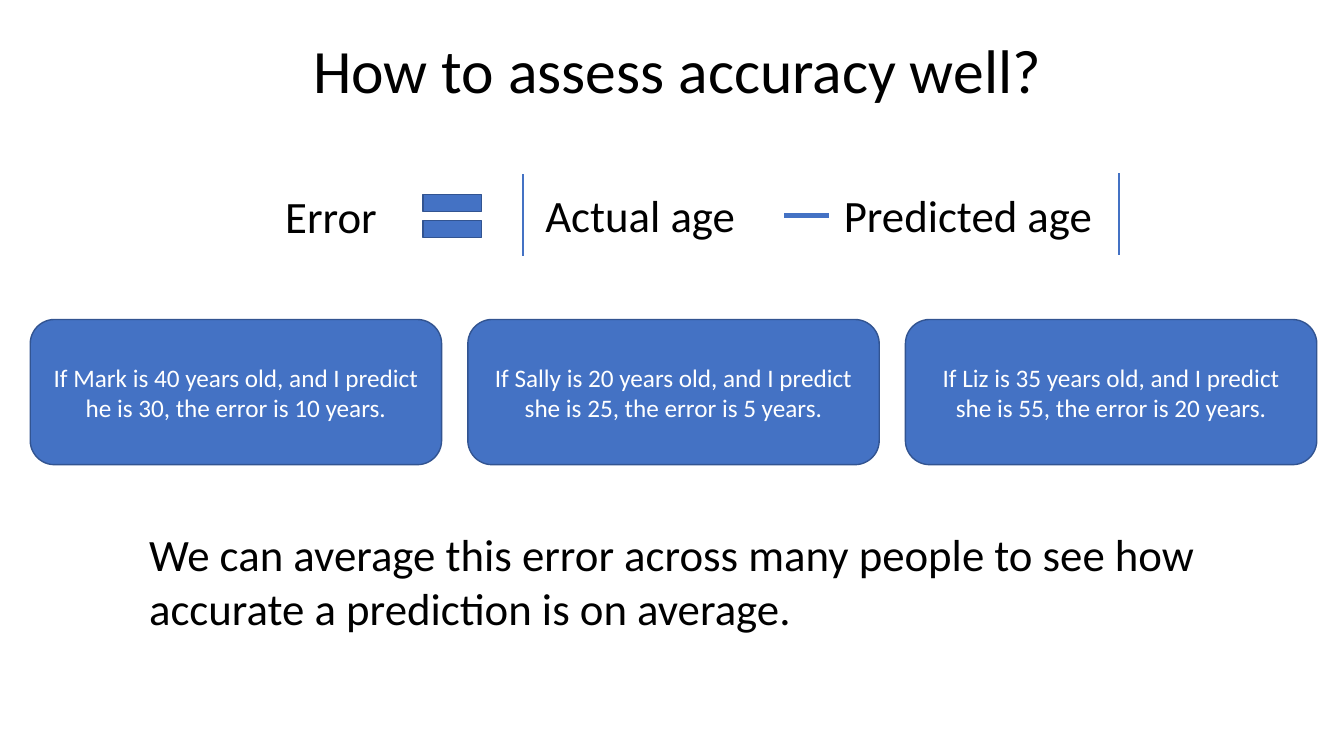
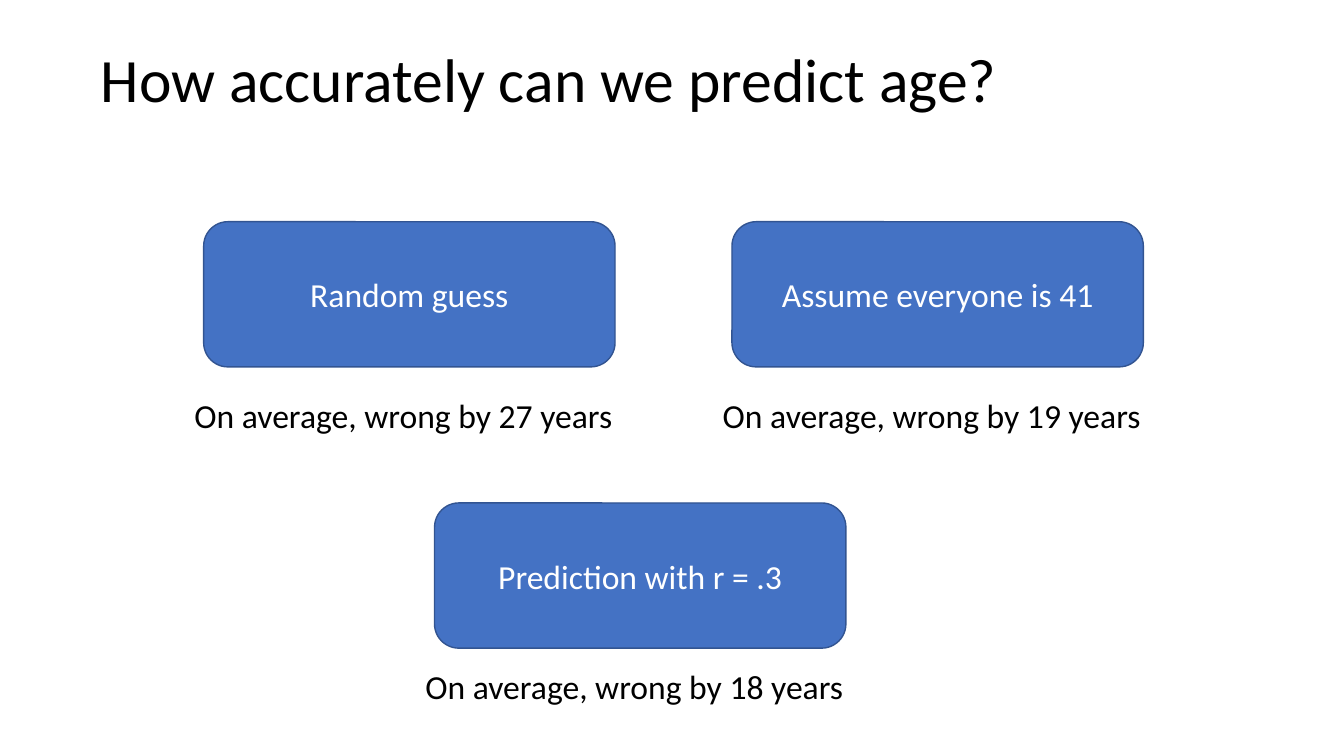
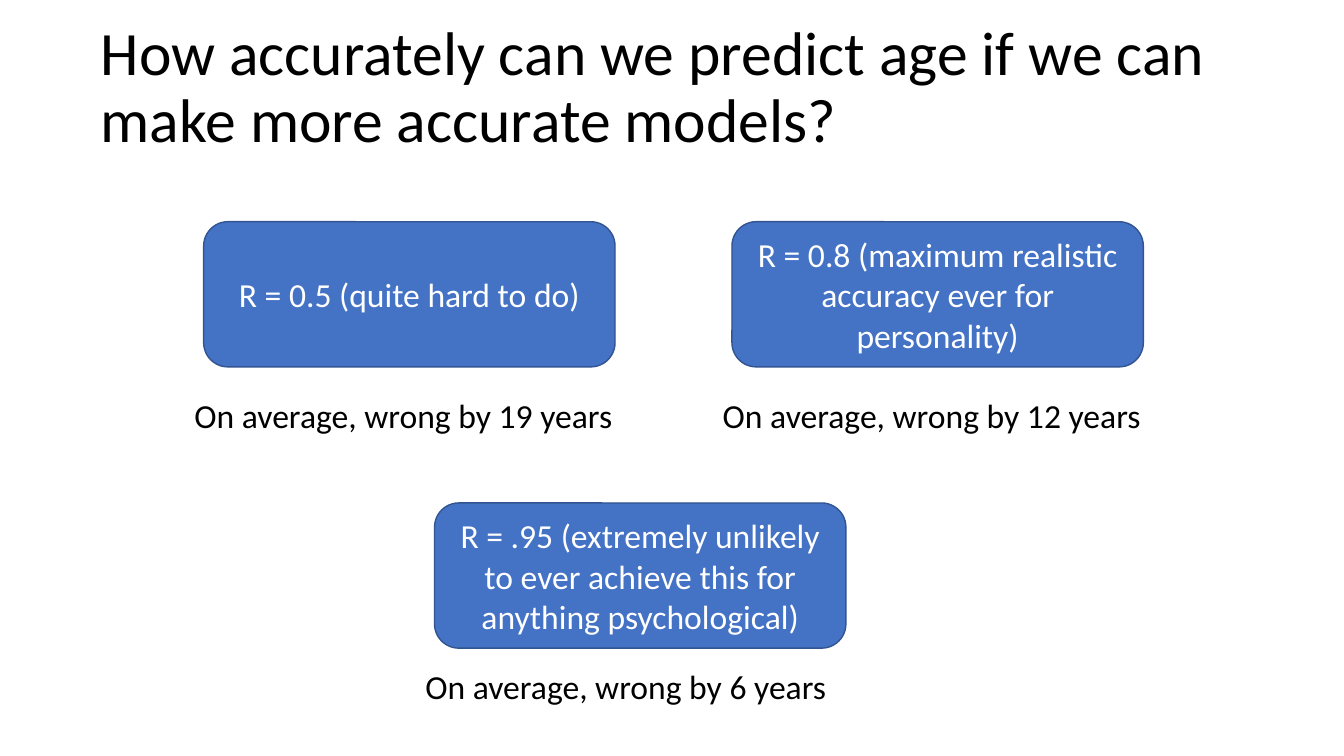
from dataclasses import dataclass
from lxml.etree import SubElement
from pptx import Presentation
from pptx.dml.color import RGBColor
from pptx.enum.shapes import MSO_CONNECTOR, MSO_SHAPE
from pptx.enum.text import MSO_ANCHOR, MSO_AUTO_SIZE, PP_ALIGN
from pptx.oxml.ns import qn
from pptx.util import Inches, Pt


@dataclass(frozen=True)
class Theme:
    font: str = "Calibri"
    accent: RGBColor = RGBColor(0x44, 0x72, 0xC4)
    outline: RGBColor = RGBColor(0x32, 0x54, 0x91)
    dark: RGBColor = RGBColor(0, 0, 0)
    light: RGBColor = RGBColor(255, 255, 255)
    title_size: int = 44
    statement_size: int = 32
    body_size: int = 24
    example_size: int = 18
    outline_width: float = 1
    bar_width: float = 1.75
    minus_width: float = 3.25


@dataclass(frozen=True)
class Box:
    left: float
    top: float
    width: float
    height: float

    def inside(self, left, top, width, height):
        return Box(self.left + left, self.top + top, width, height)

    def lengths(self):
        return [Inches(value) for value in (self.left, self.top, self.width, self.height)]


THEME = Theme()
CARD_WIDTH, CARD_HEIGHT = 4.08, 1.44


def write_text(shape, text, size, color, align=PP_ALIGN.LEFT, anchor=MSO_ANCHOR.TOP, wrap=True):
    frame = shape.text_frame
    frame.auto_size = MSO_AUTO_SIZE.NONE
    frame.word_wrap = wrap
    frame.vertical_anchor = anchor
    paragraph = frame.paragraphs[0]
    paragraph.alignment = align
    run = paragraph.add_run()
    run.text = text
    run.font.name = THEME.font
    run.font.size = Pt(size)
    run.font.color.rgb = color
    return paragraph


def add_titled_slide(presentation, box, text, align=PP_ALIGN.LEFT):
    slide = presentation.slides.add_slide(presentation.slide_layouts[5])
    title = slide.shapes.title
    title.left, title.top, title.width, title.height = box.lengths()
    paragraph = write_text(title, text, THEME.title_size, THEME.dark, align, MSO_ANCHOR.MIDDLE)
    paragraph.line_spacing = 0.9
    return slide


def add_label(slide, box, text, size, wrap=True):
    label = slide.shapes.add_textbox(*box.lengths())
    write_text(label, text, size, THEME.dark, wrap=wrap)


def add_filled_shape(slide, kind, box):
    shape = slide.shapes.add_shape(kind, *box.lengths())
    shape.shadow.inherit = False
    shape.fill.solid()
    shape.fill.fore_color.rgb = THEME.accent
    shape.line.color.rgb = THEME.outline
    shape.line.width = Pt(THEME.outline_width)
    return shape


def add_card(slide, box, text, size):
    card = add_filled_shape(slide, MSO_SHAPE.ROUNDED_RECTANGLE, box)
    write_text(card, text, size, THEME.light, PP_ALIGN.CENTER, MSO_ANCHOR.MIDDLE)


def add_line(slide, box, width):
    left, top, across, down = box.lengths()
    line = slide.shapes.add_connector(MSO_CONNECTOR.STRAIGHT, left, top, left + across, top + down)
    line.line.color.rgb = THEME.accent
    line.line.width = Pt(width)
    SubElement(line._element.spPr, qn("a:effectLst"))


def add_error_formula(slide, box):
    terms = [
        ("Error", 0, 0.1, 1.12),
        ("Actual age", 2.58, 0.09, 2.11),
        ("Predicted age", 5.54, 0.09, 2.69),
    ]
    for text, left, top, width in terms:
        add_label(slide, box.inside(left, top, width, 0.64), text, THEME.statement_size, wrap=False)
    add_filled_shape(slide, MSO_SHAPE.MATH_EQUAL, box.inside(1.36, 0.06, 0.79, 0.73))
    add_line(slide, box.inside(5.05, 0.42, 0.44, 0), THEME.minus_width)
    for left, top in ((2.46, 0.01), (box.width, 0)):
        add_line(slide, box.inside(left, top, 0, 0.81), THEME.bar_width)


def add_example_row(slide, box, examples):
    step = (box.width - CARD_WIDTH) / (len(examples) - 1)
    for index, (name, age, pronoun, guess) in enumerate(examples):
        text = (
            f"If {name} is {age} years old, and I predict {pronoun} is {guess}, "
            f"the error is {abs(age - guess)} years."
        )
        card_box = box.inside(index * step, 0, CARD_WIDTH, box.height)
        add_card(slide, card_box, text, THEME.example_size)


def add_scenario(slide, box, text, years, caption_top):
    add_card(slide, box, text, THEME.body_size)
    caption_box = box.inside(-0.19, caption_top, box.width + 0.38, 0.5)
    add_label(slide, caption_box, f"On average, wrong by {years} years", THEME.body_size)


def build_error_slide(presentation):
    slide = add_titled_slide(
        presentation, Box(0.97, 0, 11.5, 1.45), "How to assess accuracy well?", PP_ALIGN.CENTER
    )
    add_error_formula(slide, Box(2.73, 1.72, 8.37, 0.82))
    examples = [("Mark", 40, "he", 30), ("Sally", 20, "she", 25), ("Liz", 35, "she", 55)]
    add_example_row(slide, Box(0.3, 3.17, 12.76, CARD_HEIGHT), examples)
    add_label(
        slide,
        Box(1.38, 5.18, 11.22, 1.18),
        "We can average this error across many people to see how accurate a prediction is on average.",
        THEME.statement_size,
    )


def build_scenario_slide(presentation, title, title_top, scenarios):
    slide = add_titled_slide(presentation, Box(0.9, title_top, 11.5, 1.45), title)
    area = Box(2.02, 2.2, 9.32, 4.86)
    places = [(0, 0, 1.67), (area.width - CARD_WIDTH, 0, 1.67), (2.29, 2.79, 1.57)]
    for (left, top, caption_top), (text, years) in zip(places, scenarios):
        card_box = area.inside(left, top, CARD_WIDTH, CARD_HEIGHT)
        add_scenario(slide, card_box, text, years, caption_top)


def main():
    presentation = Presentation()
    presentation.slide_width = Inches(13.33)
    presentation.slide_height = Inches(7.5)
    build_error_slide(presentation)
    build_scenario_slide(
        presentation,
        "How accurately can we predict age?",
        0.09,
        [("Random guess", 27), ("Assume everyone is 41", 19), ("Prediction with r = .3", 18)],
    )
    build_scenario_slide(
        presentation,
        "How accurately can we predict age if we can make more accurate models?",
        0.16,
        [
            ("R = 0.5 (quite hard to do)", 19),
            ("R = 0.8 (maximum realistic accuracy ever for personality)", 12),
            ("R = .95 (extremely unlikely to ever achieve this for anything psychological)", 6),
        ],
    )
    presentation.save("out.pptx")


if __name__ == "__main__":
    main()
